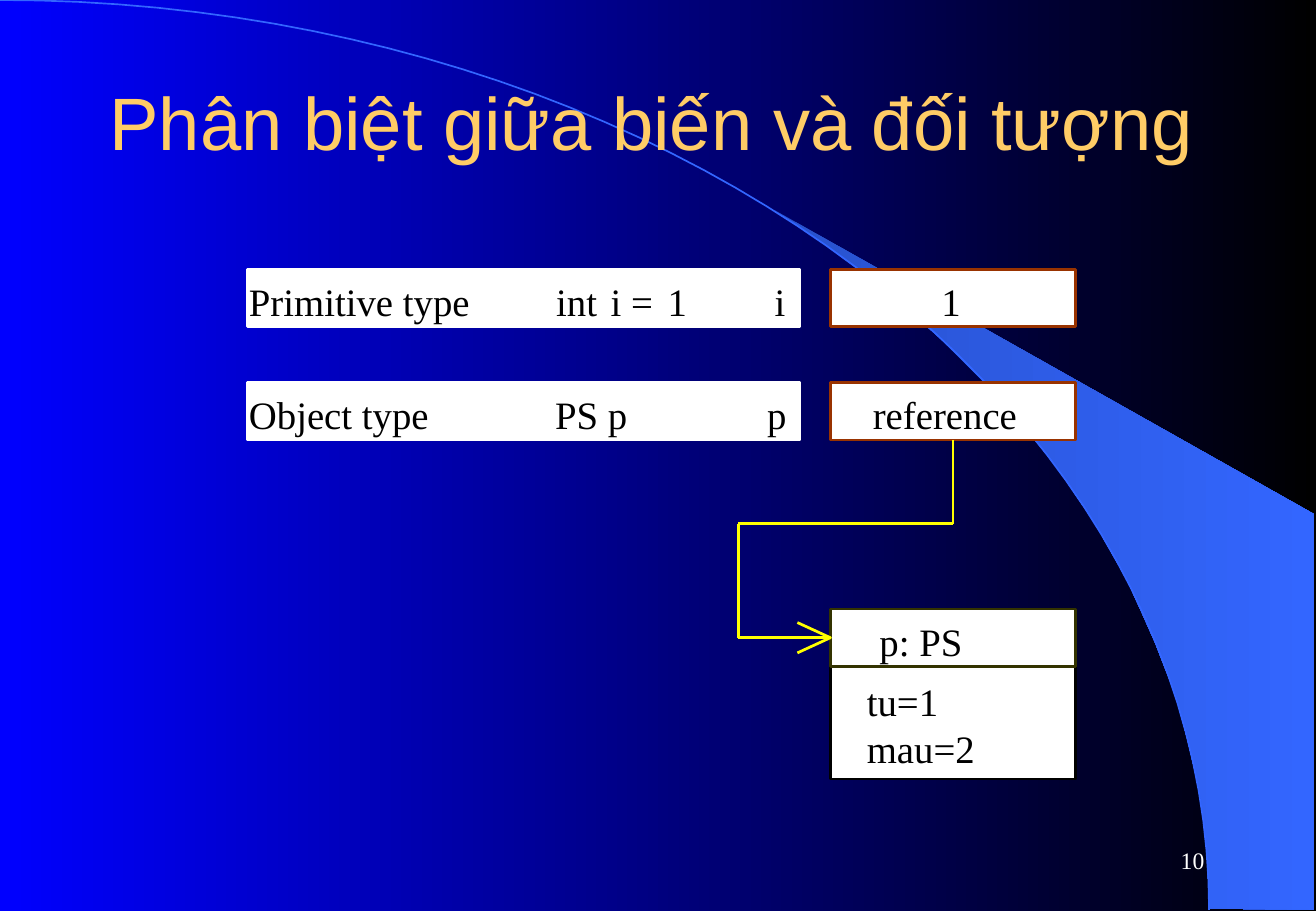
"""Build the slide on telling variables from objects."""
from dataclasses import dataclass
from math import cos, pi, sin

from lxml import etree
from pptx import Presentation
from pptx.dml.color import RGBColor
from pptx.dml.fill import FillFormat
from pptx.enum.shapes import MSO_CONNECTOR, MSO_SHAPE
from pptx.enum.text import MSO_ANCHOR, MSO_AUTO_SIZE, PP_ALIGN
from pptx.oxml.ns import qn
from pptx.shapes.autoshape import Shape
from pptx.shapes.connector import Connector
from pptx.slide import Slide
from pptx.util import Pt

STRAIGHT = MSO_CONNECTOR.STRAIGHT
RECTANGLE = MSO_SHAPE.RECTANGLE
LEFT, CENTER, RIGHT = PP_ALIGN.LEFT, PP_ALIGN.CENTER, PP_ALIGN.RIGHT
TOP, MIDDLE = MSO_ANCHOR.TOP, MSO_ANCHOR.MIDDLE
FIT_SHAPE, FIT_NONE = MSO_AUTO_SIZE.SHAPE_TO_FIT_TEXT, MSO_AUTO_SIZE.NONE
BOTTOM_SIDE, LEFT_SIDE = 2, 1

Point = tuple[float, float]


@dataclass(frozen=True)
class Theme:
    """Colours, fonts and type sizes of the slide."""
    background: tuple[str, str] = ("0000FF", "000000")
    wedge: tuple[str, str] = ("2851CC", "3366FF")
    arc: str = "3366FF"
    white: str = "FFFFFF"
    black: str = "000000"
    value_border: str = "993300"
    header_border: str = "333300"
    arrow: str = "FFFF00"
    title: str = "FFCC66"
    title_font: str = "Arial"
    body_font: str = "Times New Roman"
    title_size: float = 44
    body_size: float = 23
    number_size: float = 14
    line_width: float = 1.62
    arc_width: float = 1


THEME = Theme()


@dataclass(frozen=True)
class Box:
    """A white rectangle with a coloured border."""
    left: float
    top: float
    width: float
    height: float
    border: str


@dataclass(frozen=True)
class Label:
    """A piece of text and how it is set."""
    text: str
    left: float
    top: float
    width: float
    height: float = 27.4
    size: float = THEME.body_size
    color: str = THEME.black
    font: str = THEME.body_font
    align: PP_ALIGN = LEFT
    anchor: MSO_ANCHOR = TOP
    wrap: bool = False
    fit: MSO_AUTO_SIZE = FIT_SHAPE
    inset: Point = (0, 0)


SLIDE_WIDTH, SLIDE_HEIGHT = 780.48, 540
ROW_HEIGHT, ROW_PAD = 34, 5
PRIMITIVE_TOP, OBJECT_TOP, INSTANCE_TOP = 159.8, 226.8, 361
INSTANCE_HEIGHT = 100.8
NAME_LEFT, NAME_WIDTH = 146.9, 327.6
VALUE_LEFT, VALUE_WIDTH = 492.5, 145.4
ELBOW_LEFT, ELBOW_TOP = 437.8, 310.5
ARROW_LENGTH, ARROW_HALF = 19.6, 9
ARC_RADII = (717.1, 539.3)
ARC_STEPS = 48

WEDGE: list[Point] = [
    (717.1, 538.6), (779, 539.3), (779, 304.6), (459.4, 124.6), (486.7, 143.3),
    (509, 159.8), (534.2, 180), (558.7, 201.6), (594.7, 237.6), (626.4, 276.5),
    (649.4, 310.3), (668.9, 344.9), (684.7, 380.2), (697, 411.8),
    (704.2, 438.5), (712.1, 472.3), (715.7, 501.1),
]
BOXES = {
    "primitive value": Box(VALUE_LEFT, PRIMITIVE_TOP, VALUE_WIDTH, ROW_HEIGHT, THEME.value_border),
    "instance": Box(VALUE_LEFT, INSTANCE_TOP, VALUE_WIDTH, INSTANCE_HEIGHT, THEME.black),
    "instance header": Box(VALUE_LEFT, INSTANCE_TOP, VALUE_WIDTH, ROW_HEIGHT, THEME.header_border),
    "instance fields": Box(510.5, 411.1, 109.4, ROW_HEIGHT, THEME.white),
    "primitive": Box(NAME_LEFT, PRIMITIVE_TOP, NAME_WIDTH, ROW_HEIGHT, THEME.white),
    "object": Box(NAME_LEFT, OBJECT_TOP, NAME_WIDTH, ROW_HEIGHT, THEME.white),
    "reference": Box(VALUE_LEFT, OBJECT_TOP, VALUE_WIDTH, ROW_HEIGHT, THEME.value_border),
}
ROW_TEXTS = {
    PRIMITIVE_TOP: [("Primitive type", 147.6, 134), ("int", 329.8, 30.2),
                    ("i =", 362.2, 31), ("1", 396, 57.6), ("i", 459.4, 7), ("1", 558.3, 12)],
    OBJECT_TOP: [("Object type", 147.6, 110), ("PS p", 329.3, 45),
                 ("p", 455, 12), ("reference", 517.7, 88)],
    INSTANCE_TOP: [("p: PS", 521.6, 52)],
}
LABELS = [
    Label("10", 558.7, 491.8, 162.7, 36, THEME.number_size, THEME.white, align=RIGHT,
          anchor=MIDDLE, fit=FIT_NONE, inset=(7.2, 3.6)),
    Label("Phân biệt giữa biến và đối tượng", 13, 30.2, 747.4, 82.8, THEME.title_size,
          THEME.title, THEME.title_font, CENTER, MIDDLE, True, FIT_NONE, (7.2, 3.6)),
    *(Label(text, left, top + ROW_PAD, width)
      for top, texts in ROW_TEXTS.items() for text, left, width in texts),
    Label("tu=1\nmau=2", 514.1, 401.8, 68, 55.4),
]


def set_gradient(fill: FillFormat, colors: tuple[str, str]) -> None:
    """Fill from left to right with two colours."""
    fill.gradient()
    fill.gradient_angle = 0
    for position, (stop, color) in enumerate(zip(fill.gradient_stops, colors)):
        stop.position = position
        stop.color.rgb = RGBColor.from_string(color)


def set_line(shape: Shape | Connector, color: str, width: float = THEME.line_width) -> None:
    """Set the colour and width of an outline."""
    shape.line.color.rgb = RGBColor.from_string(color)
    shape.line.width = Pt(width)


def draw_outline(slide: Slide, points: list[Point], close: bool) -> Shape:
    """Draw an unfilled outline through the points."""
    start, *rest = [(Pt(x), Pt(y)) for x, y in points]
    builder = slide.shapes.build_freeform(*start)
    builder.add_line_segments(rest, close=close)
    shape = builder.convert_to_shape()
    shape.shadow.inherit = False
    shape.fill.background()
    return shape


def draw_box(slide: Slide, box: Box) -> Shape:
    """Draw a white bordered rectangle."""
    shape = slide.shapes.add_shape(
        RECTANGLE, Pt(box.left), Pt(box.top), Pt(box.width), Pt(box.height))
    shape.shadow.inherit = False
    shape.fill.solid()
    shape.fill.fore_color.rgb = RGBColor.from_string(THEME.white)
    set_line(shape, box.border)
    return shape


def draw_label(slide: Slide, label: Label) -> None:
    """Draw a text box with one paragraph per line of text."""
    shape = slide.shapes.add_textbox(
        Pt(label.left), Pt(label.top), Pt(label.width), Pt(label.height))
    frame = shape.text_frame
    across, down = map(Pt, label.inset)
    frame_format = {
        "text": label.text, "word_wrap": label.wrap, "auto_size": label.fit,
        "vertical_anchor": label.anchor, "margin_left": across, "margin_right": across,
        "margin_top": down, "margin_bottom": down,
    }
    for name, value in frame_format.items():
        setattr(frame, name, value)
    for paragraph in frame.paragraphs:
        paragraph.alignment = label.align
        for run in paragraph.runs:
            for name, value in {"name": label.font, "size": Pt(label.size)}.items():
                setattr(run.font, name, value)
            run.font.color.rgb = RGBColor.from_string(label.color)


def draw_reference_arrow(slide: Slide, source: Shape, target: Shape) -> None:
    """Lead a stepped arrow from the reference to the instance header."""
    start_x = VALUE_LEFT + VALUE_WIDTH / 2
    end_y = INSTANCE_TOP + ROW_HEIGHT / 2
    corners = [(start_x, OBJECT_TOP + ROW_HEIGHT), (start_x, ELBOW_TOP),
               (ELBOW_LEFT, ELBOW_TOP), (ELBOW_LEFT, end_y), (VALUE_LEFT, end_y)]
    connectors = [slide.shapes.add_connector(STRAIGHT, *map(Pt, begin + end))
                  for begin, end in zip(corners, corners[1:])]
    connectors[0].begin_connect(source, BOTTOM_SIDE)
    connectors[-1].end_connect(target, LEFT_SIDE)
    for connector in connectors:
        set_line(connector, THEME.arrow)
        etree.SubElement(connector._element.spPr, qn("a:effectLst"))
    back = VALUE_LEFT - ARROW_LENGTH
    head = [(back, end_y + ARROW_HALF), (VALUE_LEFT, end_y), (back, end_y - ARROW_HALF)]
    set_line(draw_outline(slide, head, False), THEME.arrow)


def main() -> None:
    """Build and save the presentation."""
    presentation = Presentation()
    presentation.slide_width, presentation.slide_height = Pt(SLIDE_WIDTH), Pt(SLIDE_HEIGHT)
    slide = presentation.slides.add_slide(presentation.slide_layouts[6])
    set_gradient(slide.background.fill, THEME.background)
    wedge = draw_outline(slide, WEDGE, True)
    set_gradient(wedge.fill, THEME.wedge)
    wedge.line.fill.background()
    angles = [step * pi / 2 / ARC_STEPS for step in range(ARC_STEPS + 1)]
    arc = [(ARC_RADII[0] * sin(angle), ARC_RADII[1] * (1 - cos(angle))) for angle in angles]
    set_line(draw_outline(slide, arc, False), THEME.arc, THEME.arc_width)
    boxes = {name: draw_box(slide, box) for name, box in BOXES.items()}
    for label in LABELS:
        draw_label(slide, label)
    draw_reference_arrow(slide, boxes["reference"], boxes["instance header"])
    presentation.save("out.pptx")


if __name__ == "__main__":
    main()
